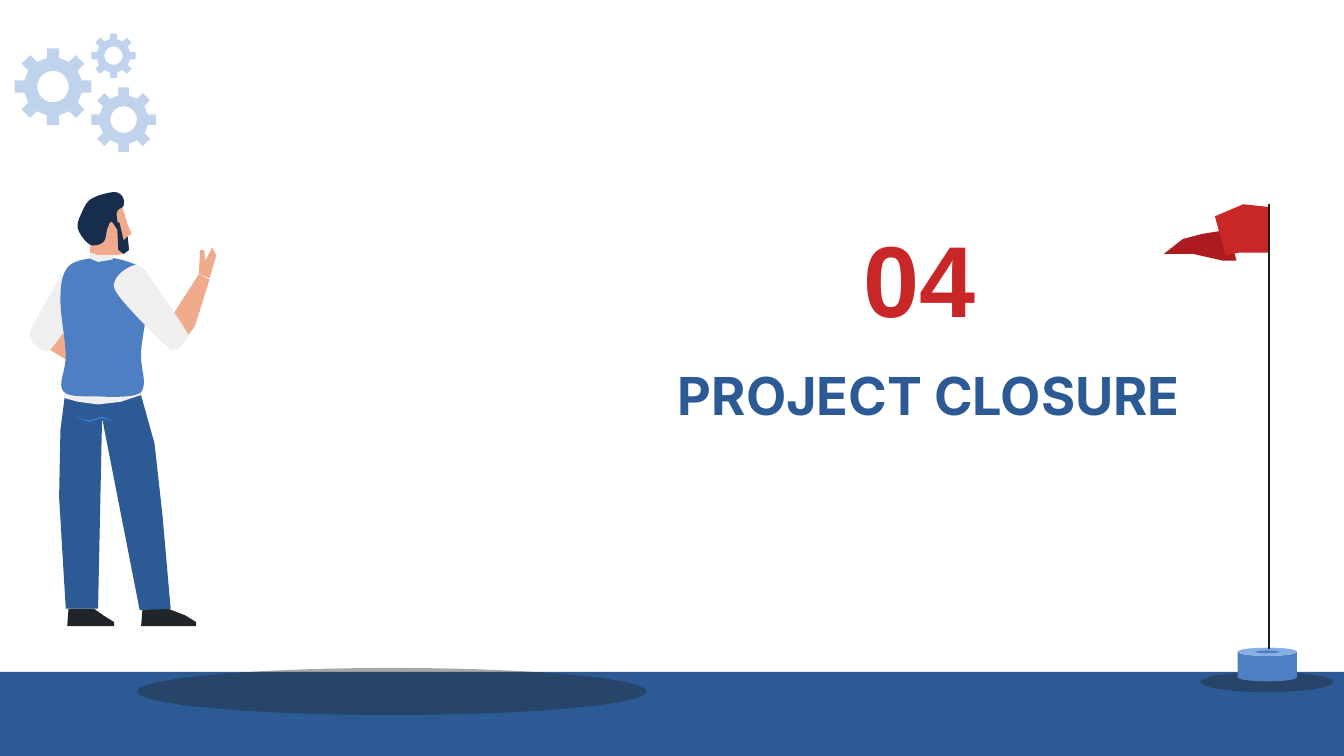
from math import cos, sin, pi
from lxml.etree import SubElement
from pptx import Presentation
from pptx.dml.color import RGBColor as RGB
from pptx.enum.shapes import MSO_SHAPE as Kind, MSO_CONNECTOR as Link
from pptx.enum.text import MSO_ANCHOR as Anchor, MSO_AUTO_SIZE as Fit, PP_ALIGN as Align
from pptx.oxml.ns import qn
from pptx.util import Pt

PX = 9144  # one px is 1/100 inch
WIDE = 1000

NAVY = RGB(0x2C, 0x5A, 0x94)
BLUE = RGB(0x4E, 0x7F, 0xC2)
SKY = RGB(0x87, 0xAF, 0xE2)
STEEL = RGB(0x6E, 0x9B, 0xD3)
SEAM = RGB(0x3E, 0x7E, 0xDB)
DARK = RGB(0x21, 0x25, 0x29)
HAIR = RGB(0x16, 0x2E, 0x4C)
POLE = RGB(0x12, 0x22, 0x18)
RED = RGB(0xC9, 0x27, 0x27)
WINE = RGB(0xAC, 0x1C, 0x1E)
SKIN = RGB(0xEF, 0xAB, 0x8B)
CLOTH = RGB(0xEF, 0xEF, 0xEF)


def paint(shape, color, alpha=100):
    """Give a shape a plain fill, alpha in percent, with no line or shadow."""
    shape.shadow.inherit = False
    shape.line.fill.background()
    shape.fill.solid()
    shape.fill.fore_color.rgb = color
    if alpha < 100:
        tone = shape.fill._xPr.find(".//" + qn("a:srgbClr"))
        SubElement(tone, qn("a:alpha")).set("val", str(alpha * 1000))


def draw(shapes, color, dots, steps=1):
    """Draw a closed outline; more steps bend it as a Catmull-Rom curve."""
    curve = []
    for i, b in enumerate(dots):
        a, c, d = dots[i - 1], dots[(i + 1) % len(dots)], dots[(i + 2) % len(dots)]
        for k in range(steps):
            t = k / steps
            curve.append([PX * (q + t * (r - p) / 2 + t * t * (2 * p - 5 * q + 4 * r - s) / 2
                                + t**3 * (3 * q - p - 3 * r + s) / 2)
                          for p, q, r, s in zip(a, b, c, d)])
    pen = shapes.build_freeform(*curve[0], 1.0)
    pen.add_line_segments(curve[1:], close=True)
    paint(pen.convert_to_shape(), color)


deck = Presentation()
deck.slide_width = WIDE * PX
deck.slide_height = WIDE * PX * 9 // 16
slide = deck.slides.add_slide(deck.slide_layouts[5])

# Floor and the large shadow
floor = slide.shapes.add_shape(Kind.RECTANGLE, 0, 500 * PX, WIDE * PX, deck.slide_height - 500 * PX)
paint(floor, NAVY)
spot = slide.shapes.add_shape(Kind.OVAL, 102 * PX, 497 * PX, 379 * PX, 35 * PX)
paint(spot, DARK, 40)

# Flag on its stand
flag = slide.shapes.add_group_shape().shapes
for kind, x, y, w, h, color, alpha in [
    (Kind.OVAL, 893, 500, 99, 15, DARK, 40),
    (Kind.CAN, 921, 482, 44, 25, BLUE, 100),
    (Kind.OVAL, 921, 482, 44, 6, SKY, 100),
    (Kind.OVAL, 934, 484, 18, 2, BLUE, 100),
]:
    part = flag.add_shape(kind, x * PX, y * PX, w * PX, h * PX)
    paint(part, color, alpha)
    if kind == Kind.CAN:
        part.adjustments[0] = 0.24
draw(flag, WINE, [(866, 189), (880, 178), (895, 174), (914, 171), (920, 194), (910, 194), (888, 189)])
draw(flag, RED, [(944, 154), (925, 152), (904, 161), (912, 190), (922, 188), (944, 188)])
pole = flag.add_connector(Link.STRAIGHT, 944 * PX, 152 * PX, 944 * PX, 483 * PX)
pole.line.color.rgb = POLE
pole.line.width = Pt(1.12)
SubElement(pole._element.spPr, qn("a:effectLst"))

# Gears: eight teeth around a round hole, sized by the outer radius
gears = slide.shapes.add_group_shape().shapes
for x, y, size in [(39.5, 64.5, 28.5), (84.5, 41.5, 16.5), (92, 89, 24)]:
    root, half, hole = 0.75 * size, 0.16 * size, 0.41 * size
    rim = []
    for k in range(8):
        c, s = cos(k * pi / 4), sin(k * pi / 4)
        for r, side in [(root, -half), (size, -half), (size, half), (root, half)]:
            rim.append(((x + r * c - side * s) * PX, (y + r * s + side * c) * PX))
    ring = [((x + hole * cos(k * pi / 20)) * PX, (y - hole * sin(k * pi / 20)) * PX)
            for k in range(40)]
    pen = gears.build_freeform(*rim[0], 1.0)
    pen.add_line_segments(rim[1:], close=True)
    pen.move_to(*ring[0])
    pen.add_line_segments(ring[1:], close=True)
    paint(pen.convert_to_shape(), STEEL, 43)

# Man seen from behind, from back to front
man = slide.shapes.add_group_shape().shapes
for heel, toe in [(105, 146), (50, 85)]:
    draw(man, DARK, [(heel, 466), (heel + 1, 453), (heel + 20, 453),
                     (toe - 8, 458), (toe, 463), (toe, 466)])
trousers = [(49, 289), (103, 287), (115, 330), (121, 384), (127, 453), (104, 454),
            (76, 311), (73, 453), (49, 453), (44, 370), (45, 320)]
head = [(86, 154), (91, 154), (95, 167), (98, 174), (95, 176), (92, 189),
        (84, 190), (84, 199), (67, 193), (67, 174)]
hair = [(84, 143), (91, 146), (92, 153), (87, 158), (88, 171), (83, 165),
        (80, 170), (77, 180), (67, 182), (58, 170), (61, 158), (68, 148)]
arm = [(148, 204), (156, 208), (145, 243), (138, 252), (123, 243)]
hem = [(48, 292), (104, 291), (105, 294), (90, 299), (73, 301), (58, 299), (47, 296)]
elbow = [(24, 252), (38, 241), (70, 267), (64, 277)]
cuff = [(61, 193), (71, 208), (41, 256), (31, 260), (23, 252), (25, 241), (49, 201)]
vest = [(59, 194), (84, 192), (108, 202), (110, 225), (105, 262), (107, 286),
        (100, 294), (74, 295), (47, 291), (49, 264), (45, 225), (48, 203)]
hand = [(148, 204), (149, 186), (152, 186), (153, 194), (158, 184), (161, 190), (156, 207)]
sleeve = [(98, 198), (108, 202), (137, 244), (139, 252), (130, 260), (121, 255), (89, 221), (86, 208)]
collar = [(67, 188), (73, 190), (84, 190), (84, 193), (73, 195), (66, 192)]
beard = [(87, 165), (89, 166), (92, 179), (95, 176), (96, 186), (92, 189), (88, 186)]
crease = [(56, 310), (66, 313), (76, 310), (86, 314), (76, 311), (66, 314)]
for color, dots, steps in [
    (NAVY, trousers, 1), (SKIN, head, 1), (HAIR, hair, 8), (SKIN, arm, 1), (CLOTH, hem, 1),
    (SKIN, elbow, 1), (CLOTH, cuff, 8), (BLUE, vest, 8), (SKIN, hand, 1),
    (CLOTH, sleeve, 8), (CLOTH, collar, 1), (HAIR, beard, 1), (SEAM, crease, 1),
]:
    draw(man, color, dots, steps)

# Section number and title
count = slide.shapes.add_textbox(594 * PX, 129 * PX, 180 * PX, 154 * PX)
title = slide.shapes.title
title.left, title.top, title.width, title.height = [v * PX for v in (444, 260, 494, 175)]
for box, text, size, font, color, anchor, pad in [
    (count, "04", 54, "Arial", RED, Anchor.MIDDLE, 0),
    (title, "PROJECT CLOSURE", 28, "Inter", NAVY, Anchor.TOP, 10),
]:
    frame = box.text_frame
    frame.text = text
    frame.word_wrap = True
    frame.auto_size = Fit.NONE
    frame.vertical_anchor = anchor
    frame.margin_left = frame.margin_right = 10 * PX
    frame.margin_top = frame.margin_bottom = pad * PX
    line = frame.paragraphs[0]
    line.alignment = Align.CENTER
    face = line.runs[0].font
    face.name, face.size, face.bold = font, Pt(size), True
    face.color.rgb = color

deck.save("out.pptx")
